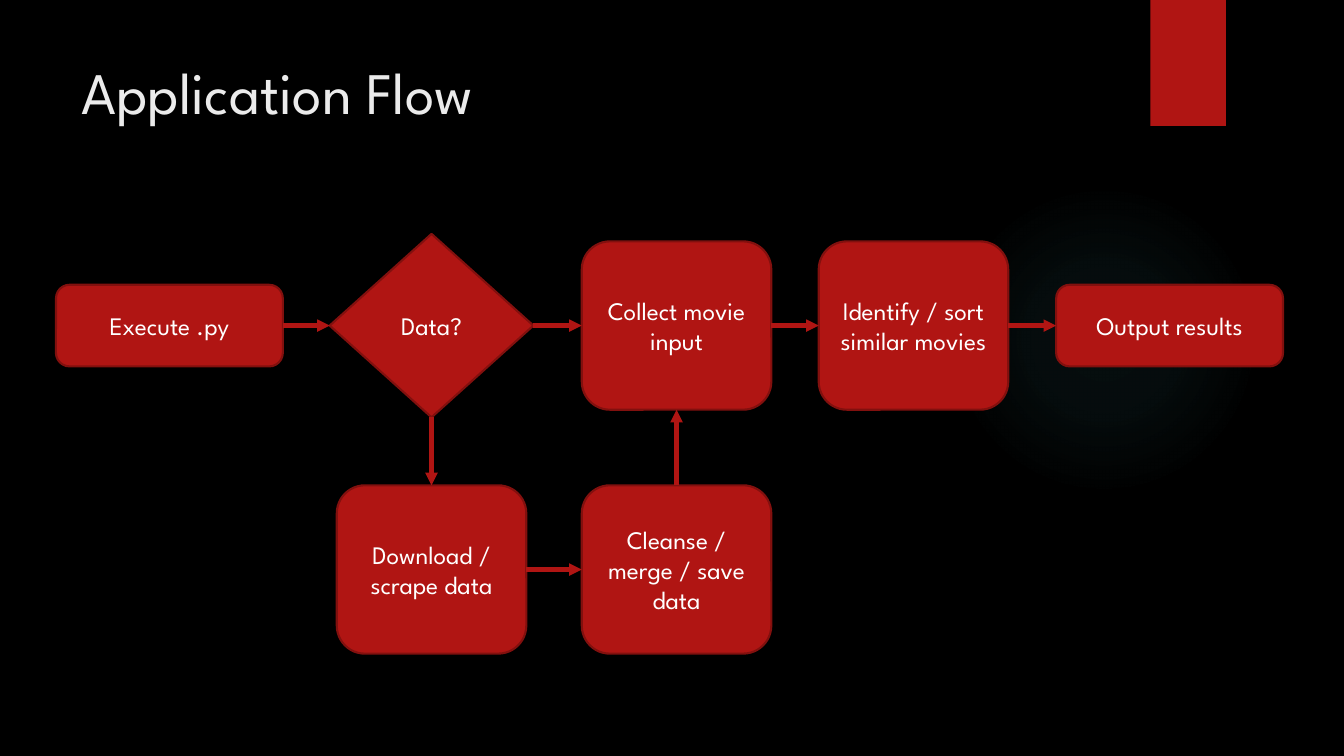
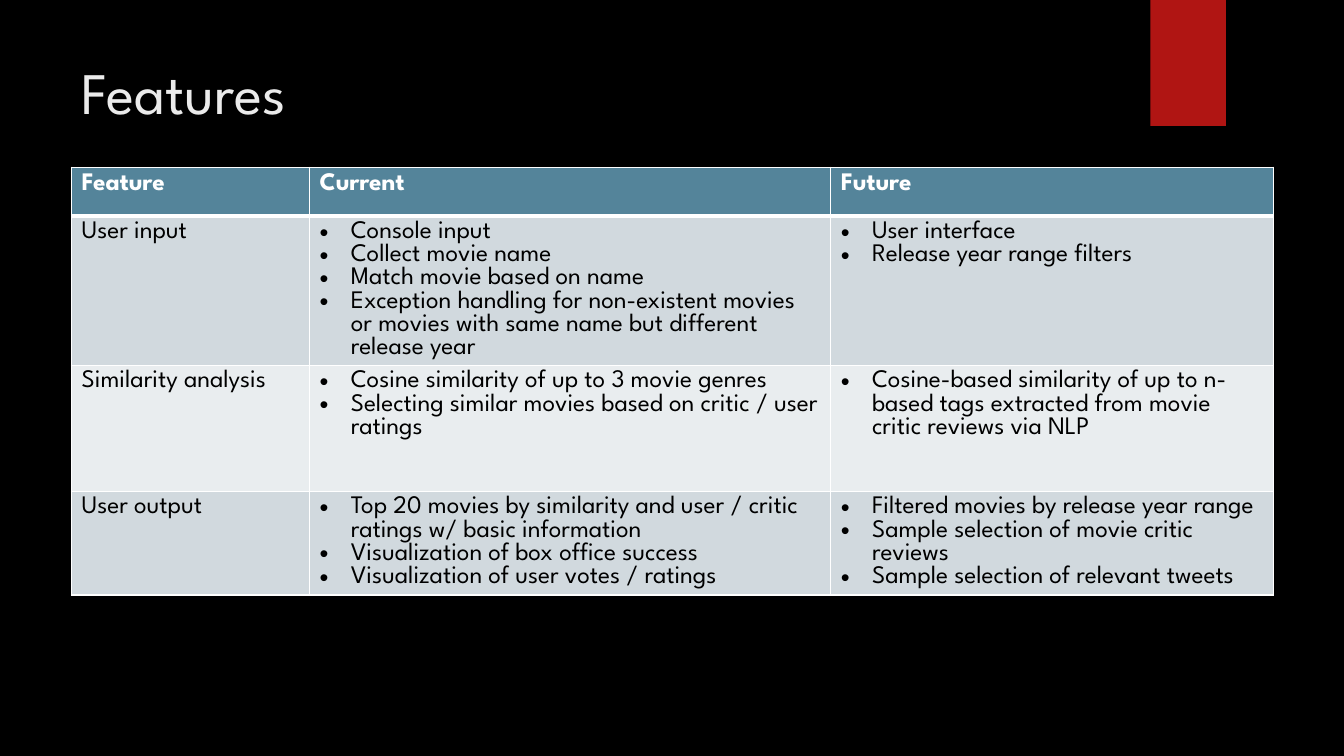
from pptx import Presentation
from pptx import util as u
from pptx.dml.color import RGBColor
from pptx.enum import shapes, text
from pptx.oxml import parse_xml
from pptx.oxml.ns import nsdecls, qn
from lxml import etree

FONT = "League Spartan"
COLORS = {
    "background": "000000", "title": "EBEBEB", "red": "B01513",
    "outline": "82100E", "glow": "50B9C1", "white": "FFFFFF",
    "black": "000000", "header": "54849A", "odd": "D1D9DE", "even": "E9EDEF",
}

# Flow chart: centre lines of columns and rows, and node sizes, in inches
COLUMNS = [1.68, 4.28, 6.71, 9.06, 11.6]
ROWS = [3.23, 5.65]
SIZES = {"end": (2.25, 0.81), "step": (1.88, 1.67), "choice": (2.02, 1.82)}
NODES = {  # name: (label, kind, column, row)
    "start": ("Execute .py", "end", 0, 0),
    "data": ("Data?", "choice", 1, 0),
    "collect": ("Collect movie input", "step", 2, 0),
    "identify": ("Identify / sort similar movies", "step", 3, 0),
    "output": ("Output results", "end", 4, 0),
    "download": ("Download / scrape data", "step", 1, 1),
    "cleanse": ("Cleanse / merge / save data", "step", 2, 1),
}
TOP, LEFT, BOTTOM, RIGHT = range(4)  # connection sites of a node
ARROWS = [
    ("start", RIGHT, "data", LEFT),
    ("data", RIGHT, "collect", LEFT),
    ("collect", RIGHT, "identify", LEFT),
    ("identify", RIGHT, "output", LEFT),
    ("data", BOTTOM, "download", TOP),
    ("download", RIGHT, "cleanse", LEFT),
    ("cleanse", TOP, "collect", BOTTOM),
]

HEADINGS = ["Feature", "Current", "Future"]
FEATURES = [
    ("User input",
     ["Console input", "Collect movie name", "Match movie based on name",
      "Exception handling for non-existent movies or movies with same name "
      "but different release year"],
     ["User interface", "Release year range filters"]),
    ("Similarity analysis",
     ["Cosine similarity of up to 3 movie genres",
      "Selecting similar movies based on critic / user ratings"],
     ["Cosine-based similarity of up to n-based tags extracted from movie "
      "critic reviews via NLP"]),
    ("User output",
     ["Top 20 movies by similarity and user / critic ratings w/ basic information",
      "Visualization of box office success",
      "Visualization of user votes / ratings"],
     ["Filtered movies by release year range",
      "Sample selection of movie critic reviews",
      "Sample selection of relevant tweets"]),
]
COLUMN_WIDTHS = [2.36, 5.17, 4.39]
ROW_HEIGHTS = [0.48, 1.47, 1.25, 1.03]


def rgb(name):
    return RGBColor.from_string(COLORS[name])


def write(frame, lines, size=18, color="white", bold=False,
          align=text.PP_ALIGN.LEFT, bullets=False):
    for number, line in enumerate(lines):
        para = frame.add_paragraph() if number else frame.paragraphs[0]
        para.alignment = align
        span = para.add_run()
        span.text = line
        span.font.name, span.font.size = FONT, u.Pt(size)
        span.font.bold, span.font.color.rgb = bold, rgb(color)
        if bullets:
            props = para._p.get_or_add_pPr()
            indent = u.Inches(0.31)
            props.set("marL", str(indent))
            props.set("indent", str(-indent))
            etree.SubElement(props, qn("a:buFont"), typeface="Arial")
            etree.SubElement(props, qn("a:buChar"), char="•")


def add_box(page, kind, left, top, width, height, fill="red", line=None):
    box = page.shapes.add_shape(
        kind, *(u.Inches(value) for value in (left, top, width, height)))
    box.shadow.inherit = False
    box.fill.solid()
    box.fill.fore_color.rgb = rgb(fill)
    if line:
        box.line.color.rgb, box.line.width = rgb(line), u.Pt(1.5)
    else:
        box.line.fill.background()
    return box


def set_glow(box):
    """Replace the solid fill by a faint radial gradient."""
    stops = "".join(
        f'<a:gs pos="{place * 1000}"><a:srgbClr val="{COLORS["glow"]}">'
        f'<a:alpha val="{alpha * 1000}"/></a:srgbClr></a:gs>'
        for place, alpha in [(0, 7), (36, 6), (69, 0), (100, 0)])
    gradient = parse_xml(
        f'<a:gradFill {nsdecls("a")} rotWithShape="1"><a:gsLst>{stops}</a:gsLst>'
        '<a:path path="circle"><a:fillToRect l="50000" t="50000" r="50000" '
        'b="50000"/></a:path></a:gradFill>')
    props = box.element.spPr
    props.replace(props.find(qn("a:solidFill")), gradient)


def style_layout(layout, page):
    """Give the layout its background, title place, glow and red band."""
    layout.background.fill.solid()
    layout.background.fill.fore_color.rgb = rgb("background")
    title = next(item for item in layout.placeholders
                 if item.placeholder_format.type == shapes.PP_PLACEHOLDER.TITLE)
    title.left, title.top = u.Inches(0.71), u.Inches(0.5)
    title.width, title.height = u.Inches(10.29), u.Inches(1.53)
    title.text_frame.vertical_anchor = text.MSO_ANCHOR.TOP
    title.text_frame.auto_size = text.MSO_AUTO_SIZE.NONE
    glow = add_box(page, shapes.MSO_SHAPE.OVAL, 9.41, 1.83, 3.08, 3.08)
    set_glow(glow)
    band = add_box(page, shapes.MSO_SHAPE.RECTANGLE, 11.41, 0, 0.75, 1.25)
    for place, box in enumerate((glow, band), start=2):
        layout.shapes.element.insert(place, box.element)


def add_page(deck, layout, title):
    page = deck.slides.add_slide(layout)
    write(page.shapes.title.text_frame, [title], size=42, color="title")
    return page


def add_node(page, label, kind, column, row):
    width, height = SIZES[kind]
    outline = (shapes.MSO_SHAPE.FLOWCHART_DECISION if kind == "choice"
               else shapes.MSO_SHAPE.ROUNDED_RECTANGLE)
    box = add_box(page, outline, COLUMNS[column] - width / 2,
                  ROWS[row] - height / 2, width, height, line="outline")
    box.text_frame.word_wrap = True
    box.text_frame.vertical_anchor = text.MSO_ANCHOR.MIDDLE
    write(box.text_frame, [label], align=text.PP_ALIGN.CENTER)
    return box


def add_arrow(page, source, source_site, target, target_site):
    arrow = page.shapes.add_connector(shapes.MSO_CONNECTOR.STRAIGHT, 0, 0, 0, 0)
    arrow.begin_connect(source, source_site)
    arrow.end_connect(target, target_site)
    arrow.line.color.rgb, arrow.line.width = rgb("red"), u.Pt(3)
    etree.SubElement(arrow.line._get_or_add_ln(), qn("a:tailEnd"), type="triangle")
    etree.SubElement(arrow.element.spPr, qn("a:effectLst"))


def set_cell(cell, lines, fill, edges, **style):
    """Write a cell; edges gives the border widths left, right, top, bottom."""
    props = cell._tc.get_or_add_tcPr()
    for side, width in zip("LRTB", edges):
        props.append(parse_xml(
            f'<a:ln{side} {nsdecls("a")} w="{u.Pt(width)}"><a:solidFill>'
            f'<a:srgbClr val="{COLORS["white"]}"/></a:solidFill></a:ln{side}>'))
    cell.fill.solid()
    cell.fill.fore_color.rgb = rgb(fill)
    write(cell.text_frame, lines, **style)


def add_features(page):
    frame = page.shapes.add_table(
        len(ROW_HEIGHTS), len(COLUMN_WIDTHS), u.Inches(0.71), u.Inches(1.66),
        u.Inches(sum(COLUMN_WIDTHS)), u.Inches(sum(ROW_HEIGHTS)))
    table = frame.table
    table.horz_banding = False
    for column, width in zip(table.columns, COLUMN_WIDTHS):
        column.width = u.Inches(width)
    for row, height in zip(table.rows, ROW_HEIGHTS):
        row.height = u.Inches(height)
    for column, heading in enumerate(HEADINGS):
        set_cell(table.cell(0, column), [heading], "header", (1, 1, 1, 3), bold=True)
    for row, (feature, current, future) in enumerate(FEATURES, start=1):
        edges = (1, 1, 3 if row == 1 else 1, 1)
        for column, lines in enumerate(([feature], current, future)):
            set_cell(table.cell(row, column), lines, "odd" if row % 2 else "even",
                     edges, color="black", bullets=column > 0)


def main():
    deck = Presentation()
    deck.slide_width, deck.slide_height = u.Inches(13.33), u.Inches(7.5)
    layout = deck.slide_layouts.get_by_name("Title Only")

    flow = add_page(deck, layout, "Application Flow")
    style_layout(layout, flow)
    nodes = {name: add_node(flow, *node) for name, node in NODES.items()}
    for source, source_site, target, target_site in ARROWS:
        add_arrow(flow, nodes[source], source_site, nodes[target], target_site)

    add_features(add_page(deck, layout, "Features"))
    deck.save("out.pptx")


if __name__ == "__main__":
    main()
